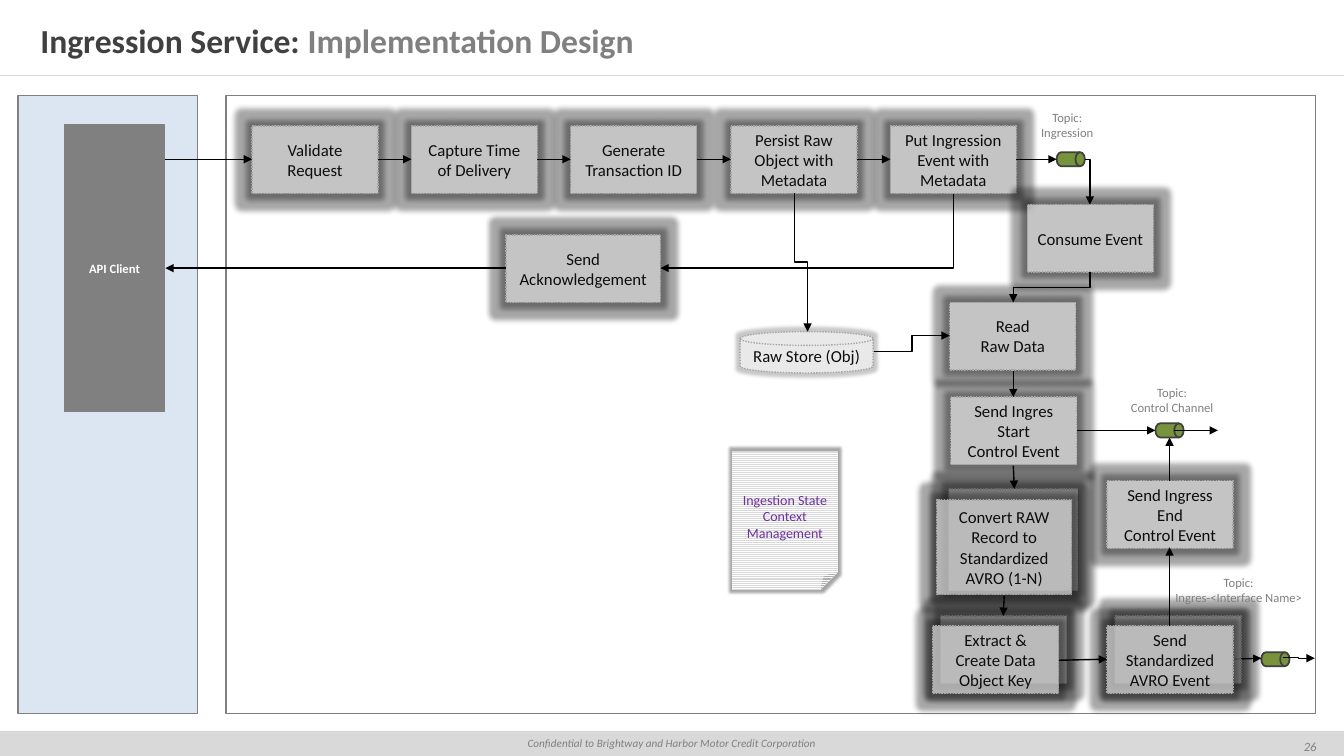
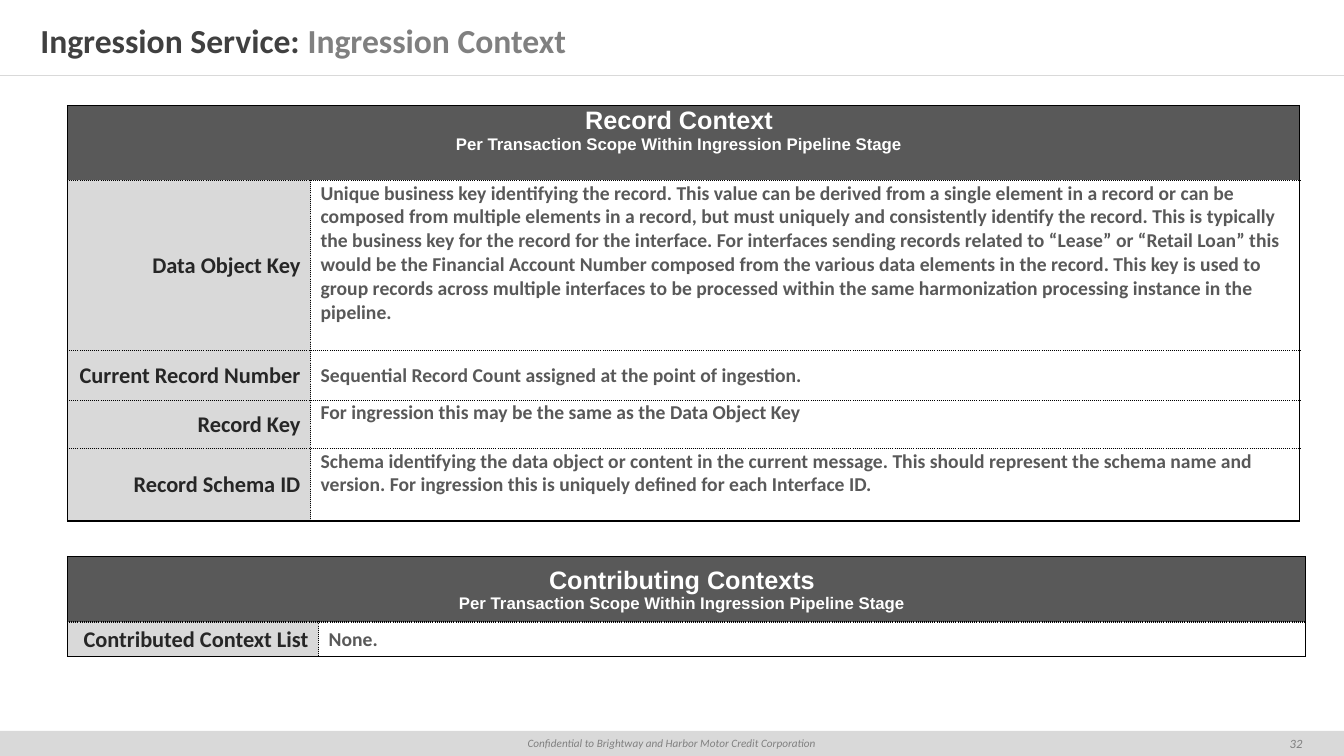
from dataclasses import dataclass

from lxml.etree import SubElement
from pptx import Presentation
from pptx.dml.color import RGBColor
from pptx.enum.dml import MSO_LINE, MSO_PATTERN
from pptx.enum.shapes import MSO_CONNECTOR as Link, MSO_SHAPE as Shape
from pptx.enum.text import MSO_ANCHOR as Anchor, MSO_AUTO_SIZE, PP_ALIGN as Align
from pptx.oxml import parse_xml
from pptx.oxml.ns import nsdecls, qn
from pptx.util import Emu, Pt


@dataclass(frozen=True)
class Theme:
    font: str = "Calibri"
    heading_font: str = "Arial"
    black: str = "000000"
    white: str = "FFFFFF"
    ink: str = "0D0D0D"
    label: str = "262626"
    title: str = "404040"
    body: str = "595959"
    muted: str = "808080"
    outline: str = "A6A6A6"
    band: str = "D9D9D9"
    lane: str = "DCE6F2"
    drum: str = "77933C"
    note: str = "7030A0"
    title_size: float = 24
    heading_size: float = 18
    label_size: float = 16
    body_size: float = 14
    box_size: float = 12
    note_size: float = 10
    small_size: float = 9
    footer_size: float = 8


THEME = Theme()
PX = 9144  # EMU; 100 px make one inch
PAGE_SIZE = (1333, 750)
FOOTER = "Confidential to Brightway and Harbor Motor Credit Corporation"
SERVICE = "Ingression Service: "

# ---- Implementation Design ----
PANEL, LANE = (224, 95, 1081, 613), (18, 95, 178, 613)
CLIENT = (64, 124, 99, 284)
STORE = (734, 329, 132, 41)
NOTE = (726, 447, 105, 138)
BOX_W, BOX_H = 125, 67
STAGE_LEFT, STAGE_TOP, STAGE_STEP = 250, 125, 158.25
STAGES = ["Validate\nRequest", "Capture Time of Delivery", "Generate Transaction ID",
          "Persist Raw\nObject with Metadata", "Put Ingression\nEvent with Metadata"]
DRUM_SIZE = (28, 14)
DRUMS = {"ingression": (1048, 151), "control": (1146, 420), "interface": (1251, 647)}
TOPIC_SIZE = (183, 40)
TOPICS = [("Ingression", 967, 104), ("Control Channel", 1071, 377),
          ("Ingres-<Interface Name>", 1137, 565)]

# name: (text, left, top, width, height), in three layers from back to front
ANSWER_BOXES = {"acknowledge": ("Send\nAcknowledgement", 502, 233, 153, BOX_H)}
PIPELINE_BOXES = {
    "consume": ("Consume Event", 1019, 203, BOX_W, BOX_H),
    "read": ("Read\nRaw Data", 942, 300, BOX_W, BOX_H),
    "start": ("Send Ingres Start\nControl Event", 943, 394, BOX_W, BOX_H),
    "extract back": ("", 933, 611, BOX_W, BOX_H),
    "convert back": ("", 941, 485, 128, 101),
    "convert": ("Convert RAW Record to Standardized\nAVRO (1-N)", 929, 496, 134, 94),
}
OUTPUT_BOXES = {
    "extract": ("Extract & Create Data Object Key", 925, 621, BOX_W, BOX_H),
    "send back": ("", 1106, 611, BOX_W, BOX_H),
    "send": ("Send\nStandardized AVRO Event", 1098, 621, BOX_W, BOX_H),
    "end": ("Send Ingress End\nControl Event", 1098, 477, BOX_W, BOX_H),
}

# (from, to, route); H and V name the direction of each leg, "" is straight
STAGE_ARROWS = [
    ((130, 158), (250, 158), ""), ((1076, 158), (1081, 203), "HV"),
    ((1005, 367), (1005, 394), ""), ((1005, 462), (1006, 485), ""),
    ((502, 266), (164, 266), ""),
]
PIPELINE_ARROWS = [
    ((996, 591), (995, 611), ""), ((1050, 655), (1098, 654), ""),
    ((946, 192), (655, 266), "VH"), ((1223, 654), (1251, 653), ""),
]
OUTPUT_ARROWS = [
    ((1068, 427), (1146, 427), ""), ((1008, 158), (1048, 158), ""),
    ((788, 191), (801, 329), "VHV"), ((867, 349), (942, 333), "HVH"),
    ((1160, 477), (1160, 434), ""), ((1160, 621), (1160, 543), ""),
    ((1081, 270), (1005, 300), "VHV"), ((1164, 427), (1208, 427), ""),
    ((1272, 652), (1304, 653), "HVH"),
]

# ---- Ingression Context ----
SCOPE = "Per Transaction Scope Within Ingression Pipeline Stage"
KEY_TEXT = (
    "Unique business key identifying the record. This value can be derived from a single "
    "element in a record or can be composed from multiple elements in a record, but must "
    "uniquely and consistently identify the record. This is typically the business key for "
    "the record for the interface. For interfaces sending records related to “Lease” or "
    "“Retail Loan” this would be the Financial Account Number composed from the various "
    "data elements in the record. This key is used to group records across multiple "
    "interfaces to be processed within the same harmonization processing instance in the "
    "pipeline.")
SCHEMA_TEXT = (
    "Schema identifying the data object or content in the current message. This should "
    "represent the schema name and version. For ingression this is uniquely defined for "
    "each Interface ID.")
# rows: (label, text, height, anchor of the text)
TABLES = [
    dict(at=(67, 105), columns=(241, 981), heading="Record Context",
         heading_height=74, heading_anchor=Anchor.TOP, rows=[
             ("Data Object Key", KEY_TEXT, 169, Anchor.TOP),
             ("Current Record Number",
              "Sequential Record Count assigned at the point of ingestion.", 49, Anchor.MIDDLE),
             ("Record Key",
              "For ingression this may be the same as the Data Object Key", 48, Anchor.TOP),
             ("Record Schema ID", SCHEMA_TEXT, 72, Anchor.TOP)]),
    dict(at=(67, 552), columns=(249, 979), heading="Contributing Contexts",
         heading_height=65, heading_anchor=Anchor.MIDDLE, rows=[
             ("Contributed Context List", "None.", 34, Anchor.MIDDLE)]),
]


def px(*lengths):
    return [Emu(round(length * PX)) for length in lengths]


def rgb(color):
    return RGBColor.from_string(color)


def style(para, size, color, align=Align.CENTER, bold=False, italic=False, name=THEME.font):
    para.alignment = align
    font = para.font
    font.name, font.size, font.bold, font.italic = name, Pt(size), bold, italic
    font.color.rgb = rgb(color)


def write(shape, text, size, color, anchor=Anchor.MIDDLE, margins=(10, 5, 10, 5), **look):
    frame = shape.text_frame
    frame.word_wrap, frame.vertical_anchor = True, anchor
    (frame.margin_left, frame.margin_top,
     frame.margin_right, frame.margin_bottom) = px(*margins)
    frame.text = text
    for para in frame.paragraphs:
        style(para, size, color, **look)


def add_block(page, kind, at, fill, line=None, width=1):
    block = page.shapes.add_shape(kind, *px(*at))
    block.shadow.inherit = False
    block.fill.solid()
    block.fill.fore_color.rgb = rgb(fill)
    if line:
        block.line.color.rgb = rgb(line)
        block.line.width = Pt(width)
    else:
        block.line.fill.background()
    return block


def add_glow(shape, radius, alpha):
    glow = SubElement(shape.element.spPr.find(qn("a:effectLst")), qn("a:glow"),
                      rad=str(Pt(radius)))
    color = SubElement(glow, qn("a:srgbClr"), val=THEME.black)
    SubElement(color, qn("a:alpha"), val=str(alpha * 1000))


def add_glass(page, text, at, kind=Shape.RECTANGLE, radius=8, alpha=35):
    """Add a see-through white shape with a dotted outline and a grey glow."""
    glass = add_block(page, kind, at, THEME.white, THEME.outline)
    glass.line.dash_style = MSO_LINE.ROUND_DOT
    SubElement(glass.element.spPr.find(qn("a:solidFill"))[0], qn("a:alpha"), val="60000")
    add_glow(glass, radius, alpha)
    if text:
        write(glass, text, THEME.box_size, THEME.ink)


def add_line(page, kind, begin, end, color, width):
    line = page.shapes.add_connector(kind, *px(*begin, *end))
    line.line.color.rgb = rgb(color)
    line.line.width = Pt(width)
    SubElement(line.element.spPr, qn("a:effectLst"))
    return line


def add_arrow(page, begin, end, route):
    """Draw an arrow; a route that starts with V is laid out flat, then turned 90 degrees."""
    turned = route.startswith("V")
    if turned:
        (x1, y1), (x2, y2) = begin, end
        middle_x, middle_y = (x1 + x2) / 2, (y1 + y2) / 2
        half_x, half_y = (x2 - x1) / 2, (y2 - y1) / 2
        begin = (middle_x - half_y, middle_y + half_x)
        end = (middle_x + half_y, middle_y - half_x)
    kind = Link.ELBOW if route else Link.STRAIGHT
    arrow = add_line(page, kind, begin, end, THEME.black, 1)
    properties = arrow.element.spPr
    if turned:
        properties.find(qn("a:xfrm")).set("rot", "5400000")
    if len(route) == 2:
        properties.find(qn("a:prstGeom")).set("prst", "bentConnector2")
    SubElement(properties.find(qn("a:ln")), qn("a:tailEnd"), type="triangle")


def set_up_layout(layout, page):
    """Place the title and move the band, footer and rule into the layout."""
    title = layout.placeholders[0]
    title.left, title.top, title.width, title.height = px(0, 16, PAGE_SIZE[0], 48)
    frame = title.text_frame
    frame.auto_size, frame.vertical_anchor = MSO_AUTO_SIZE.NONE, Anchor.MIDDLE
    (frame.margin_left, frame.margin_top,
     frame.margin_right, frame.margin_bottom) = px(40, 20, 40, 20)
    band = add_block(page, Shape.RECTANGLE, (0, 725, PAGE_SIZE[0], 25), THEME.band)
    write(band, FOOTER, THEME.footer_size, THEME.muted, italic=True)
    rule = add_line(page, Link.STRAIGHT, (0, 75), (PAGE_SIZE[0], 75), THEME.band, 0.25)
    for shape in (band, rule):
        layout.shapes.element.append(shape.element)


def fill_frame(page, topic, number, number_at):
    para = page.shapes.title.text_frame.paragraphs[0]
    style(para, THEME.title_size, THEME.title, Align.LEFT, bold=True)
    for text, color in ((SERVICE, THEME.title), (topic, THEME.muted)):
        span = para.add_run()
        span.text = text
        span.font.color.rgb = rgb(color)
    box = page.shapes.add_textbox(*px(*number_at, 71, 25))
    write(box, number, THEME.small_size, THEME.muted, margins=(10, 10, 10, 10), italic=True)


def draw_layer(page, boxes, arrows):
    for text, *at in boxes.values():
        add_glass(page, text, at)
    for arrow in arrows:
        add_arrow(page, *arrow)


def draw_design(page):
    add_block(page, Shape.RECTANGLE, PANEL, THEME.white, THEME.muted)
    add_block(page, Shape.RECTANGLE, LANE, THEME.lane, THEME.muted)
    for at in DRUMS.values():
        add_block(page, Shape.FLOWCHART_DIRECT_ACCESS_STORAGE, at + DRUM_SIZE,
                  THEME.drum, THEME.title, 1.25)
    lefts = [round(STAGE_LEFT + index * STAGE_STEP) for index in range(len(STAGES))]
    stages = {text: (text, left, STAGE_TOP, BOX_W, BOX_H) for text, left in zip(STAGES, lefts)}
    middle = STAGE_TOP + BOX_H // 2
    hops = [((left + BOX_W, middle), (following, middle), "")
            for left, following in zip(lefts, lefts[1:])]
    draw_layer(page, stages | ANSWER_BOXES, hops + STAGE_ARROWS)
    draw_layer(page, PIPELINE_BOXES, PIPELINE_ARROWS)

    client = add_block(page, Shape.RECTANGLE, CLIENT, THEME.muted, THEME.muted)
    write(client, "API Client", THEME.small_size, THEME.white, margins=(0, 5, 0, 5), bold=True)
    add_glass(page, "Raw Store (Obj)", STORE, Shape.FLOWCHART_MAGNETIC_DISK, 5, 22)
    note = add_block(page, Shape.FOLDED_CORNER, NOTE, THEME.white)
    note.fill.patterned()
    note.fill.pattern = MSO_PATTERN.NARROW_HORIZONTAL
    note.fill.fore_color.rgb, note.fill.back_color.rgb = rgb(THEME.band), rgb(THEME.white)
    add_glow(note, 4, 35)
    write(note, "Ingestion State Context Management", THEME.note_size, THEME.note,
          margins=(0, 10, 0, 0))

    draw_layer(page, OUTPUT_BOXES, OUTPUT_ARROWS)
    for topic, left, top in TOPICS:
        box = page.shapes.add_textbox(*px(left, top, *TOPIC_SIZE))
        write(box, f"Topic:\n{topic}", THEME.small_size, THEME.muted, Anchor.TOP)


def set_borders(cell, solid_edges):
    """Give each edge a 1 pt line: solid where named in solid_edges, dotted elsewhere."""
    properties = cell._tc.get_or_add_tcPr()
    for index, edge in enumerate("LRTB"):
        dash = "solid" if edge in solid_edges else "sysDot"
        properties.insert(index, parse_xml(
            f'<a:ln{edge} {nsdecls("a")} w="{Pt(1)}"><a:solidFill>'
            f'<a:srgbClr val="{THEME.black}"/></a:solidFill>'
            f'<a:prstDash val="{dash}"/></a:ln{edge}>'))


def fill_cell(cell, fill, solid_edges, *text, **look):
    if fill:
        cell.fill.solid()
        cell.fill.fore_color.rgb = rgb(fill)
    else:
        cell.fill.background()
    set_borders(cell, solid_edges)
    if text:
        cell.vertical_anchor = look.pop("anchor", Anchor.MIDDLE)
        (cell.margin_left, cell.margin_top,
         cell.margin_right, cell.margin_bottom) = px(*look.pop("margins", (1, 1, 10, 0)))
        cell.text_frame.text = text[0]
        for para in cell.text_frame.paragraphs:
            style(para, *text[1:], bold=True, **look)


def draw_table(page, at, columns, heading, heading_height, heading_anchor, rows):
    heights = [heading_height] + [row[2] for row in rows]
    table = page.shapes.add_table(len(heights), len(columns),
                                  *px(*at, sum(columns), sum(heights))).table
    table.first_row = table.horz_banding = False
    for column, width in zip(table.columns, px(*columns)):
        column.width = width
    for row, height in zip(table.rows, px(*heights)):
        row.height = height

    head, hidden = table.cell(0, 0), table.cell(0, 1)
    head.merge(hidden)
    fill_cell(hidden, THEME.body, "LRT")
    fill_cell(head, THEME.body, "LRT", f"{heading}\n{SCOPE}", THEME.box_size, THEME.white,
              anchor=heading_anchor, name=THEME.heading_font)
    head.text_frame.paragraphs[0].font.size = Pt(THEME.heading_size)
    for index, (label, text, _, anchor) in enumerate(rows, 1):
        bottom = "B" if index == len(rows) else ""
        fill_cell(table.cell(index, 0), THEME.band, "L" + bottom, label,
                  THEME.label_size, THEME.label, align=Align.RIGHT)
        fill_cell(table.cell(index, 1), None, "R" + bottom, text, THEME.body_size, THEME.body,
                  align=Align.LEFT, anchor=anchor, margins=(10, 1, 1, 0))


def main():
    deck = Presentation()
    deck.slide_width, deck.slide_height = px(*PAGE_SIZE)
    layout = deck.slide_layouts.get_by_name("Title Only")
    design, context = (deck.slides.add_slide(layout) for _ in range(2))
    set_up_layout(layout, design)
    fill_frame(design, "Implementation Design", "26", (1264, 728))
    draw_design(design)
    fill_frame(context, "Ingression Context", "32", (1250, 725))
    for table in TABLES:
        draw_table(context, **table)
    deck.save("out.pptx")


if __name__ == "__main__":
    main()
